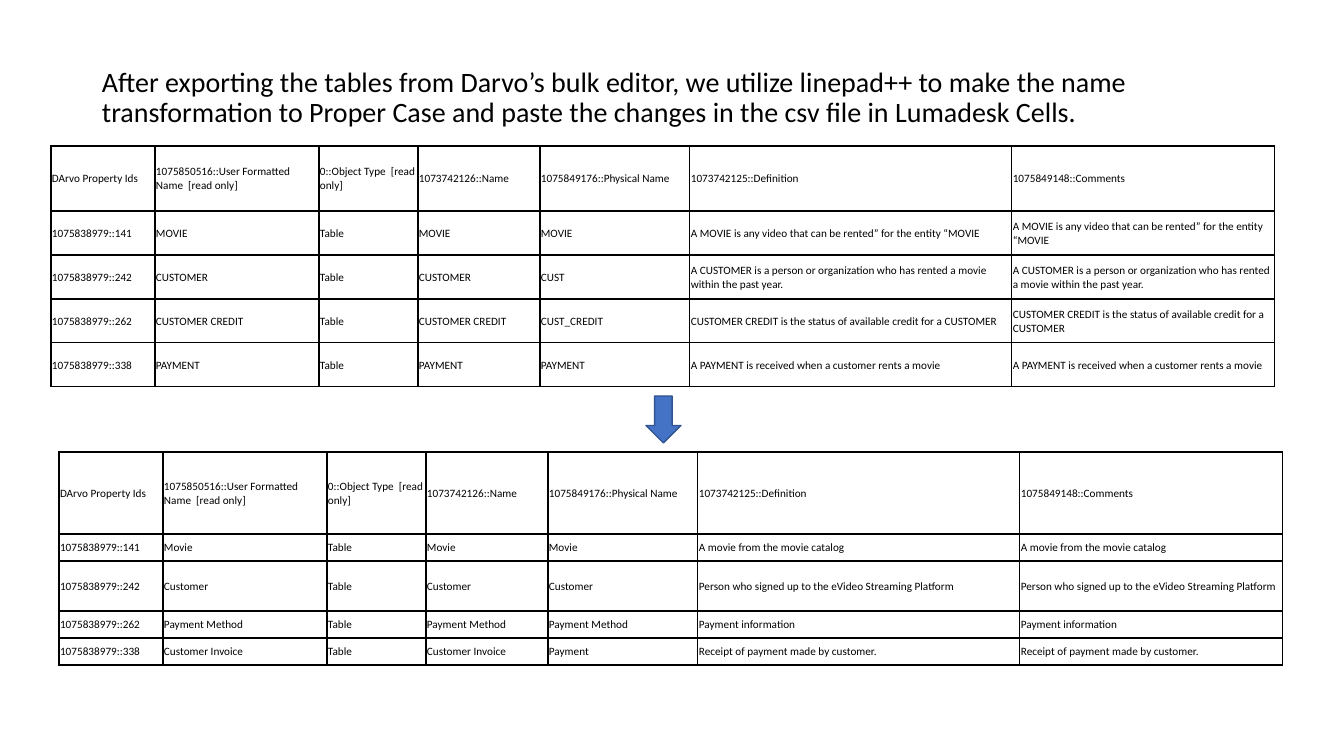
"""Build a slide that shows exported table properties before and after renaming."""
from lxml import etree
from pptx import Presentation
from pptx.dml.color import RGBColor
from pptx.enum.shapes import MSO_SHAPE
from pptx.enum.text import MSO_ANCHOR
from pptx.oxml.ns import qn
from pptx.util import Pt

TITLE = ("After exporting the tables from Darvo’s bulk editor, we utilize linepad++ to make "
         "the name transformation to Proper Case and paste the changes in the csv file in "
         "Lumadesk Cells.")
HEADER = ("DArvo Property Ids", "1075850516::User Formatted Name  [read only]",
          "0::Object Type  [read only]", "1073742126::Name", "1075849176::Physical Name",
          "1073742125::Definition", "1075849148::Comments")
IDS = ("1075838979::141", "1075838979::242", "1075838979::262", "1075838979::338")
BEFORE = [
    ("MOVIE", "MOVIE", "A MOVIE is any video that can be rented” for the entity “MOVIE"),
    ("CUSTOMER", "CUST",
     "A CUSTOMER is a person or organization who has rented a movie within the past year."),
    ("CUSTOMER CREDIT", "CUST_CREDIT",
     "CUSTOMER CREDIT is the status of available credit for a CUSTOMER"),
    ("PAYMENT", "PAYMENT", "A PAYMENT is received when a customer rents a movie"),
]
AFTER = [
    ("Movie", "Movie", "A movie from the movie catalog"),
    ("Customer", "Customer", "Person who signed up to the eVideo Streaming Platform"),
    ("Payment Method", "Payment Method", "Payment information"),
    ("Customer Invoice", "Payment", "Receipt of payment made by customer."),
]
COLS = (104, 164, 99, 122, 150, 322, 263)
TABLES = [
    (51, 146, (65, 44, 44, 44, 44), BEFORE),
    (59, 452, (82, 27, 50, 27, 27), AFTER),
]
TITLE_BOX = (92, 51, 1159, 95)
ARROW_BOX = (646, 396, 35, 47)

FONT = "Calibri"
BLACK = RGBColor(0x00, 0x00, 0x00)
BLUE = RGBColor(0x44, 0x72, 0xC4)
DARK_BLUE = RGBColor(0x32, 0x54, 0x91)
MIDDLE = MSO_ANCHOR.MIDDLE
DOWN_ARROW = MSO_SHAPE.DOWN_ARROW
SLIDE_W, SLIDE_H = 1344, 756
SCALE = 12192000 / SLIDE_W


def px(n):
    return round(n * SCALE)


def write(tf, text, size, spacing=1.0):
    tf.word_wrap = True
    p = tf.paragraphs[0]
    p.line_spacing = spacing
    r = p.add_run()
    r.text = text
    r.font.name = FONT
    r.font.size = Pt(size)
    r.font.color.rgb = BLACK


def add_borders(cell):
    props = cell._tc.get_or_add_tcPr()
    for i, side in enumerate(("a:lnL", "a:lnR", "a:lnT", "a:lnB")):
        ln = etree.Element(qn(side), w=str(Pt(1)))
        fill = etree.SubElement(ln, qn("a:solidFill"))
        etree.SubElement(fill, qn("a:srgbClr"), val=str(BLACK))
        props.insert(i, ln)


def add_grid(s, left, top, heights, entries):
    rows = [HEADER] + [(key, name, "Table", name, physical, note, note)
                       for key, (name, physical, note) in zip(IDS, entries)]
    table = s.shapes.add_table(len(rows), len(COLS), px(left), px(top),
                               px(sum(COLS)), px(sum(heights))).table
    table.first_row = table.horz_banding = False
    for col, width in zip(table.columns, COLS):
        col.width = px(width)
    for row, height, texts in zip(table.rows, heights, rows):
        row.height = px(height)
        for cell, text in zip(row.cells, texts):
            cell.margin_left = cell.margin_right = cell.margin_top = px(1)
            cell.margin_bottom = 0
            cell.vertical_anchor = MIDDLE
            cell.fill.background()
            add_borders(cell)
            write(cell.text_frame, text, size=8)


def main():
    prs = Presentation()
    prs.slide_width, prs.slide_height = px(SLIDE_W), px(SLIDE_H)
    s = prs.slides.add_slide(prs.slide_layouts[6])

    tf = s.shapes.add_textbox(*map(px, TITLE_BOX)).text_frame
    tf.vertical_anchor = MIDDLE
    write(tf, TITLE, size=20, spacing=0.9)

    for left, top, heights, entries in TABLES:
        add_grid(s, left, top, heights, entries)

    sp = s.shapes.add_shape(DOWN_ARROW, *map(px, ARROW_BOX))
    sp.shadow.inherit = False
    sp.fill.solid()
    sp.fill.fore_color.rgb = BLUE
    sp.line.color.rgb = DARK_BLUE
    sp.line.width = Pt(1)

    prs.save("out.pptx")


if __name__ == "__main__":
    main()
